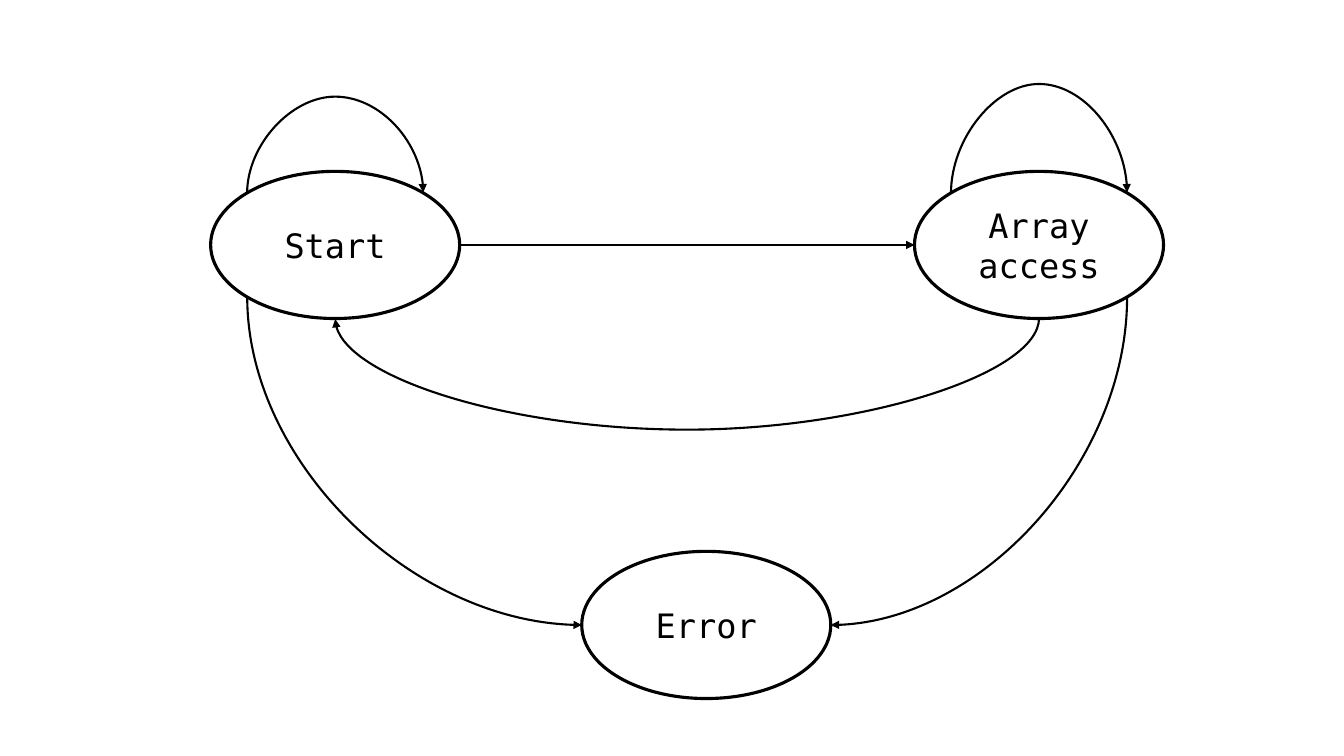
from dataclasses import dataclass
from math import cos, radians, sin

from pptx import Presentation, util as u
from pptx.dml.color import RGBColor
from pptx.enum import shapes, text
from pptx.oxml import ns
from lxml import etree

WIDTH, HEIGHT = u.Inches(13.33), u.Inches(7.5)
STATE_WIDTH, STATE_HEIGHT = 0.1853 * WIDTH, 0.1947 * HEIGHT
MIN_EXTENT = u.Inches(0.01)
BLACK, WHITE = "000000", "FFFFFF"
FONT = "DejaVu Sans Mono"
TOP_LEFT, LEFT, BOTTOM_LEFT, BOTTOM, BOTTOM_RIGHT, RIGHT, TOP_RIGHT = range(1, 8)


@dataclass(frozen=True)
class State:
    """An ellipse whose centre is given in percent of the slide's size."""
    label: str
    column: float
    row: float

    def site(self, index: int) -> tuple[float, float]:
        """Return the connection point, counted in eighths from the top."""
        angle = radians(90 + 45 * index)
        return (self.column / 100 * WIDTH + STATE_WIDTH / 2 * cos(angle),
                self.row / 100 * HEIGHT - STATE_HEIGHT / 2 * sin(angle))


@dataclass(frozen=True)
class Transition:
    """An arrow between two states; reach is a share of the slide's height."""
    source: State
    source_site: int
    target: State
    target_site: int
    preset: str = "curvedConnector3"
    rotation: int = 90
    flips: str = ""
    reach: float = 0


START = State("Start", 24.94, 32.4)
ACCESS = State("Array access", 77.31, 32.4)
ERROR = State("Error", 52.55, 82.67)
STATES = (START, ACCESS, ERROR)
TRANSITIONS = (
    Transition(START, BOTTOM_LEFT, ERROR, LEFT, "curvedConnector2", 270, "H"),
    Transition(ACCESS, BOTTOM_RIGHT, ERROR, RIGHT, "curvedConnector2"),
    Transition(START, TOP_LEFT, START, TOP_RIGHT, flips="HV", reach=0.13),
    Transition(ACCESS, TOP_LEFT, ACCESS, TOP_RIGHT, flips="HV", reach=0.147),
    Transition(START, RIGHT, ACCESS, LEFT, "line", 0),
    Transition(ACCESS, BOTTOM, START, BOTTOM, reach=0.15),
)


def colour(value: str) -> RGBColor:
    """Turn a hex string into a colour."""
    return RGBColor.from_string(value)


def add_state(page, state: State):
    """Draw one labelled ellipse."""
    left = state.column / 100 * WIDTH - STATE_WIDTH / 2
    top = state.row / 100 * HEIGHT - STATE_HEIGHT / 2
    ellipse = page.shapes.add_shape(
        shapes.MSO_SHAPE.OVAL, *map(round, (left, top, STATE_WIDTH, STATE_HEIGHT)))
    ellipse.shadow.inherit = False
    ellipse.fill.solid()
    ellipse.fill.fore_color.rgb = colour(WHITE)
    ellipse.line.color.rgb = colour(BLACK)
    ellipse.line.width = u.Pt(2.25)
    frame = ellipse.text_frame
    frame.text = state.label
    frame.word_wrap = True
    frame.vertical_anchor = text.MSO_ANCHOR.MIDDLE
    para = frame.paragraphs[0]
    para.alignment = text.PP_ALIGN.CENTER
    span = para.runs[0]
    span.font.name = FONT
    span.font.size = u.Pt(24)
    span.font.color.rgb = colour(BLACK)
    return ellipse


def glue(connector, tag: str, ellipse, site: int) -> None:
    """Attach one end of a connector to a site of an ellipse."""
    holder = connector._element.find(".//" + ns.qn("p:cNvCxnSpPr"))
    etree.SubElement(holder, ns.qn(tag), id=str(ellipse.shape_id), idx=str(site))


def add_transition(page, edge: Transition, ellipses: dict) -> None:
    """Draw one arrow and attach it to its states."""
    x1, y1 = edge.source.site(edge.source_site)
    x2, y2 = edge.target.site(edge.target_site)
    straight = edge.preset == "line"
    kind = shapes.MSO_CONNECTOR.STRAIGHT if straight else shapes.MSO_CONNECTOR.CURVE
    connector = page.shapes.add_connector(kind, *map(round, (x1, y1, x2, y2)))
    connector.line.color.rgb = colour(BLACK)
    connector.line.width = u.Pt(1.5)
    properties = connector._element.spPr
    etree.SubElement(properties.find(ns.qn("a:ln")), ns.qn("a:tailEnd"), type="triangle")
    etree.SubElement(properties, ns.qn("a:effectLst"))
    glue(connector, "a:stCxn", ellipses[edge.source], edge.source_site)
    glue(connector, "a:endCxn", ellipses[edge.target], edge.target_site)
    if straight:
        return
    width, height = max(abs(y2 - y1), MIN_EXTENT), abs(x2 - x1)
    connector.width, connector.height = round(width), round(height)
    connector.left = round((x1 + x2 - width) / 2)
    connector.top = round((y1 + y2 - height) / 2)
    frame = properties.find(ns.qn("a:xfrm"))
    frame.set("rot", str(edge.rotation * 60000))
    for axis in "HV":
        frame.set("flip" + axis, str(int(axis in edge.flips)))
    geometry = properties.find(ns.qn("a:prstGeom"))
    geometry.set("prst", edge.preset)
    if edge.reach:
        share = round(edge.reach * HEIGHT / width * 100000)
        etree.SubElement(geometry.find(ns.qn("a:avLst")), ns.qn("a:gd"),
                         name="adj1", fmla=f"val {share}")


def main() -> None:
    """Build the state diagram."""
    deck = Presentation()
    deck.slide_width, deck.slide_height = WIDTH, HEIGHT
    page = deck.slides.add_slide(deck.slide_layouts[6])
    ellipses = {state: add_state(page, state) for state in STATES}
    for edge in TRANSITIONS:
        add_transition(page, edge, ellipses)
    deck.save("out.pptx")


if __name__ == "__main__":
    main()
